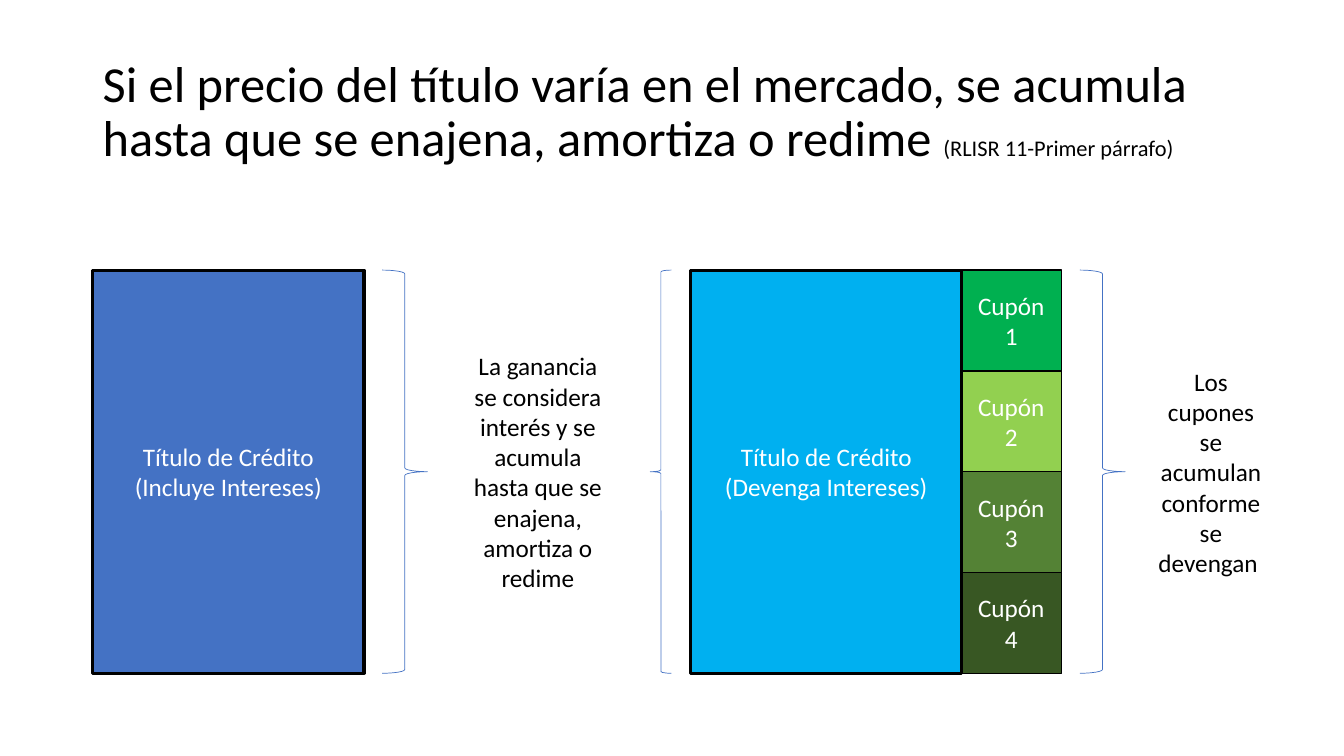
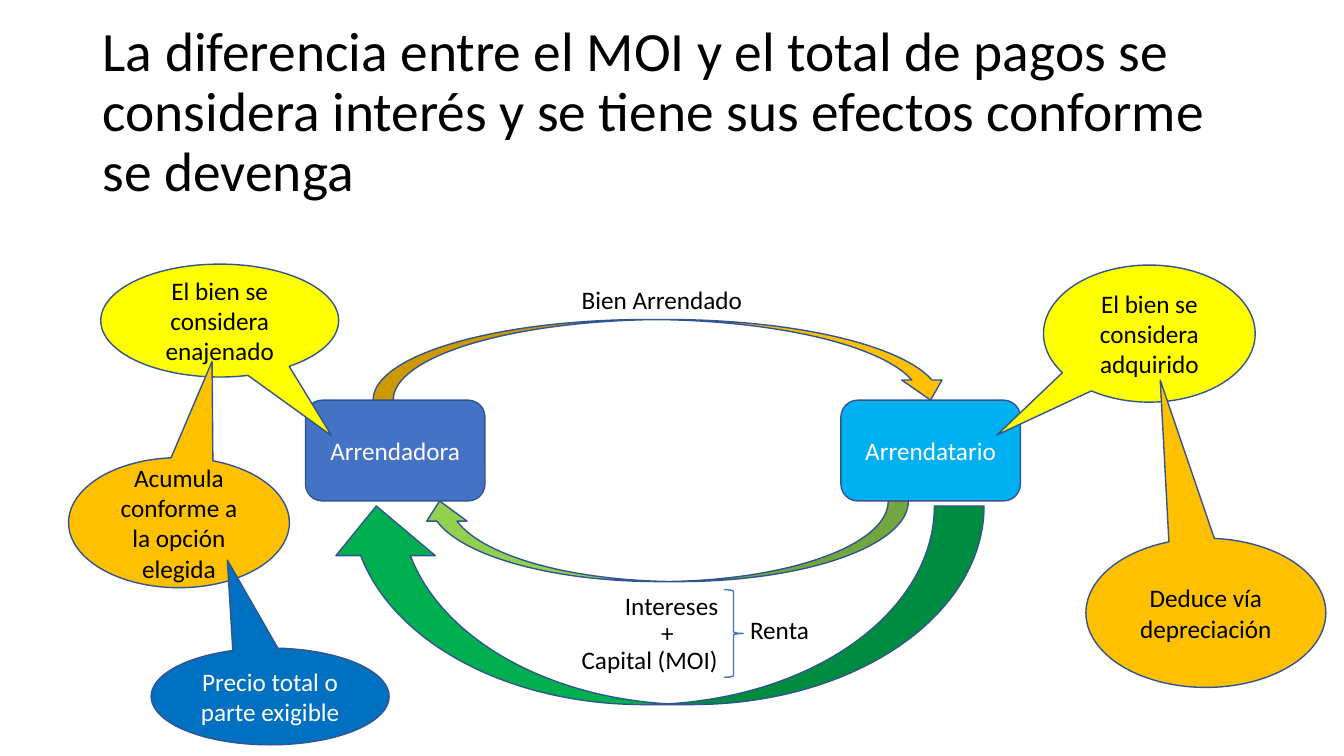
from pptx import Presentation
from pptx.dml.color import RGBColor
from pptx.enum.shapes import MSO_SHAPE
from pptx.enum.text import MSO_ANCHOR, PP_ALIGN
from pptx.util import Emu, Pt

PX = 9144  # 100 px to the inch
FONT = "Calibri"
BLACK, WHITE = "000000", "FFFFFF"
BLUE, SKY, OUTLINE = "4472C4", "00B0F0", "325491"
YELLOW, AMBER, DEEP_BLUE = "FFFF00", "FFC000", "0070C0"
GREEN, LIME = "00B050", "92D050"
COUPON_COLORS = (GREEN, LIME, "548235", "385723")
TITLE_BOX = (92, 40, 1150, 145)

RECT, ROUNDED = MSO_SHAPE.RECTANGLE, MSO_SHAPE.ROUNDED_RECTANGLE
LEFT_BRACE, RIGHT_BRACE = MSO_SHAPE.LEFT_BRACE, MSO_SHAPE.RIGHT_BRACE
CURVED_DOWN, CURVED_LEFT = MSO_SHAPE.CURVED_DOWN_ARROW, MSO_SHAPE.CURVED_LEFT_ARROW
CALLOUT = MSO_SHAPE.OVAL_CALLOUT
MIDDLE, TOP = MSO_ANCHOR.MIDDLE, MSO_ANCHOR.TOP
LEFT, CENTER = PP_ALIGN.LEFT, PP_ALIGN.CENTER


def rgb(value):
    return RGBColor.from_string(value)


def emu(box):
    return [Emu(round(n * PX)) for n in box]


def write(tf, lines, size=18, color=BLACK, align=CENTER, anchor=MIDDLE, wrap=True):
    tf.word_wrap = wrap
    tf.vertical_anchor = anchor
    for i, line in enumerate(lines):
        p = tf.add_paragraph() if i else tf.paragraphs[0]
        p.add_run().text = line
        p.alignment = align
        p.font.name, p.font.size = FONT, Pt(size)
        p.font.color.rgb = rgb(color)


def add_text(s, box, text, **style):
    tf = s.shapes.add_textbox(*emu(box)).text_frame
    write(tf, [text], **style)
    return tf.paragraphs[0]


def add_shape(s, kind, box, fill=None, line=OUTLINE, weight=1, lines=(), color=WHITE):
    sp = s.shapes.add_shape(kind, *emu(box))
    sp.shadow.inherit = False
    if fill:
        sp.fill.solid()
        sp.fill.fore_color.rgb = rgb(fill)
    else:
        sp.fill.background()
    sp.line.color.rgb = rgb(line)
    sp.line.width = Pt(weight)
    write(sp.text_frame, lines, color=color)
    return sp


def add_slide(prs, title, size, citation=None):
    s = prs.slides.add_slide(prs.slide_layouts[6])
    p = add_text(s, TITLE_BOX, title, size=size, align=LEFT)
    p.line_spacing = 0.9
    if citation:
        r = p.add_run()
        r.text = citation
        r.font.size = Pt(16)
    return s


# Slide 1: credit instruments
def add_bond(s, box, fill, detail):
    add_shape(s, RECT, box, fill, BLACK, 2.25, ["Título de Crédito", detail])


def add_brace(s, kind, box, weight=0.5):
    add_shape(s, kind, box, line=BLUE, weight=weight)


def plain_bond(s, box):
    x, y, w, h = box
    add_bond(s, (x, y, 269, h), BLUE, "(Incluye Intereses)")
    add_brace(s, RIGHT_BRACE, (x + 287, y, 45, h))
    add_text(s, (x + w - 147, y, 147, h),
             "La ganancia se considera interés y se acumula hasta que se enajena, amortiza o redime")


def coupon_bond(s, box):
    x, y, w, h = box
    add_brace(s, LEFT_BRACE, (x, y, 21, h))
    step = h // len(COUPON_COLORS)
    for i, fill in enumerate(COUPON_COLORS):
        add_shape(s, RECT, (x + 308, y + i * step, 100, step), fill, BLACK,
                  lines=[f"Cupón {i + 1}"])
    add_bond(s, (x + 40, y, 269, h), SKY, "(Devenga Intereses)")
    add_brace(s, RIGHT_BRACE, (x + 426, y, 45, h))
    add_text(s, (x + w - 132, y, 132, h), "Los cupones se acumulan conforme se devengan ")


# Slide 2: leasing
def return_arrow(s, box, fill):
    """Left arrow turned a quarter so that it fills the given box."""
    x, y, w, h = box
    frame = (x + (w - h) / 2, y + (h - w) / 2, h, w)
    add_shape(s, CURVED_LEFT, frame, fill).rotation = 90


def lease_cycle(s, box):
    x, y, w, h = box
    add_shape(s, ROUNDED, (x, y, 178, h), BLUE, lines=["Arrendadora"])
    add_shape(s, ROUNDED, (x + w - 178, y, 178, h), SKY, lines=["Arrendatario"])
    add_shape(s, CURVED_DOWN, (x + 67, y - 80, 573, 80), AMBER)
    return_arrow(s, (x + 113, y + h, 485, 80), LIME)
    return_arrow(s, (x + 21, y + h + 5, 652, 197), GREEN)
    add_text(s, (x + 264, y - 120, 181, 40), "Bien Arrendado", align=LEFT,
             anchor=TOP, wrap=False)


def rent_breakdown(s, box):
    x, y, w, h = box
    for dx, dy, width, text in (
        (43, 0, 114, "Intereses"),
        (79, 27, 33, "+"),
        (0, h - 40, 157, "Capital (MOI)"),
        (w - 79, 24, 79, "Renta"),
    ):
        add_text(s, (x + dx, y + dy, width, 40), text, align=LEFT, anchor=TOP, wrap=False)
    add_brace(s, RIGHT_BRACE, (x + 151, y + 4, 19, 87), 1)


def add_callout(s, box, tip, fill, text, color=BLACK):
    sp = add_shape(s, CALLOUT, box, fill, lines=[text], color=color)
    sp.adjustments[0], sp.adjustments[1] = tip


def main():
    prs = Presentation()
    prs.slide_width, prs.slide_height = emu((1333, 750))

    s = add_slide(prs, "Si el precio del título varía en el mercado, se acumula "
                  "hasta que se enajena, amortiza o redime ", 36,
                  "(RLISR 11-Primer párrafo)")
    plain_bond(s, (92, 268, 515, 400))
    coupon_bond(s, (645, 268, 622, 400))

    s = add_slide(prs, "La diferencia entre el MOI y el total de pagos se considera "
                  "interés y se tiene sus efectos conforme se devenga", 39.6)
    lease_cycle(s, (303, 397, 709, 100))
    rent_breakdown(s, (567, 581, 246, 93))
    for callout in (
        ((100, 262, 236, 112), (0.47, 1.02), YELLOW, "El bien se considera enajenado"),
        ((1035, 263, 210, 136), (-0.72, 0.74), YELLOW, "El bien se considera adquirido"),
        ((1077, 534, 238, 148), (-0.19, -1.56), AMBER, "Deduce vía depreciación"),
        ((68, 454, 219, 129), (0.15, -1.24), AMBER, "Acumula conforme a la opción elegida"),
        ((150, 643, 236, 96), (-0.18, -1.41), DEEP_BLUE, "Precio total o parte exigible", WHITE),
    ):
        add_callout(s, *callout)

    prs.save("out.pptx")


if __name__ == "__main__":
    main()
